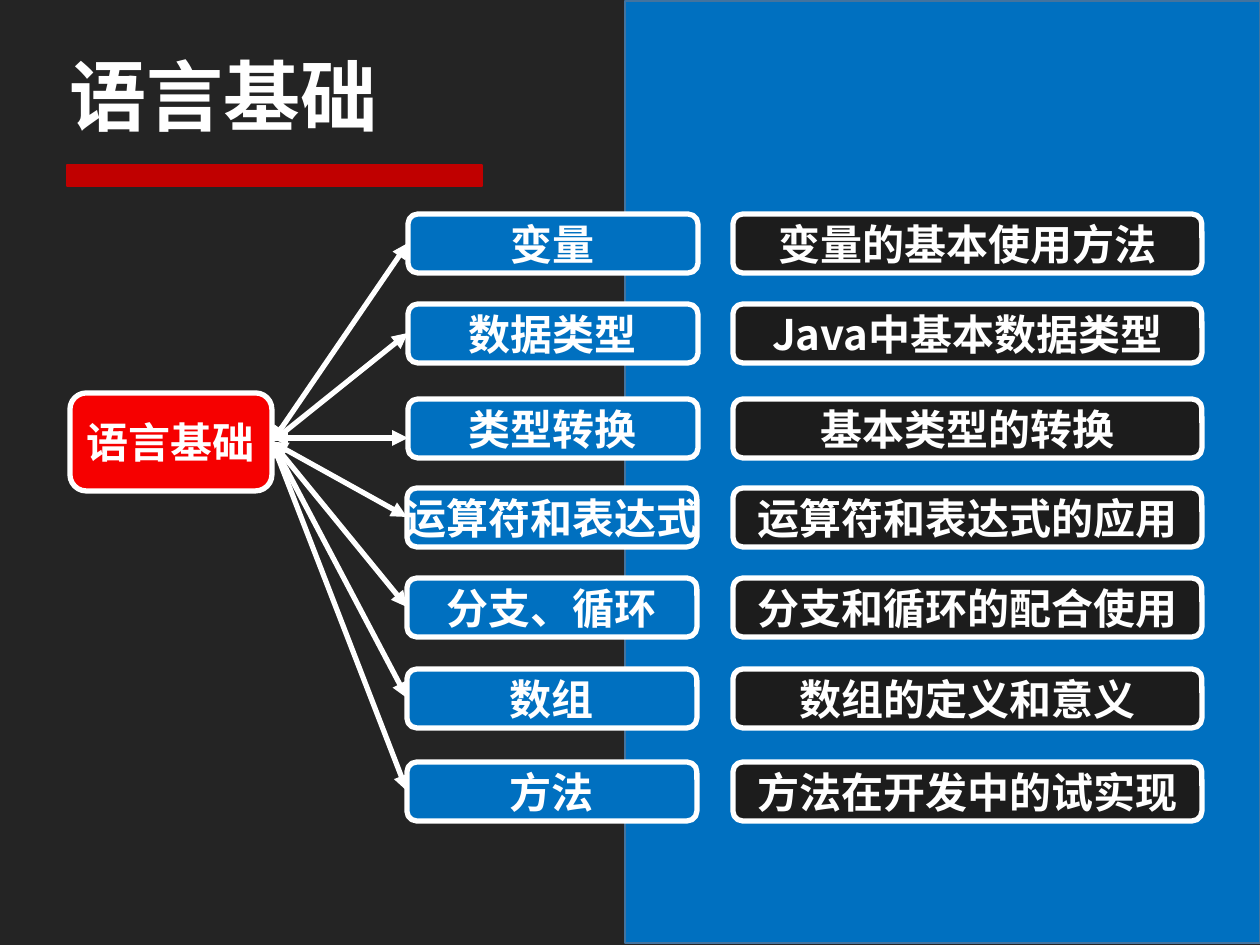
from lxml.etree import SubElement
from pptx import Presentation
from pptx.dml.color import RGBColor
from pptx.enum.shapes import MSO_CONNECTOR, MSO_SHAPE
from pptx.enum.text import MSO_ANCHOR, PP_ALIGN
from pptx.oxml.ns import qn
from pptx.util import Emu, Pt

PIXEL = 914400 // 126
FONT = "Noto Sans CJK SC"
WHITE, BLUE, BLACK = "FFFFFF", "0070C0", "1C1C1C"
TOPICS = [
    ("变量", "变量的基本使用方法", 214),
    ("数据类型", "Java中基本数据类型", 304),
    ("类型转换", "基本类型的转换", 399),
    ("运算符和表达式", "运算符和表达式的应用", 488),
    ("分支、循环", "分支和循环的配合使用", 578),
    ("数组", "数组的定义和意义", 669),
    ("方法", "方法在开发中的试实现", 762),
]


def scale(*pixels):
    return [Emu(value * PIXEL) for value in pixels]


def color(value):
    return RGBColor.from_string(value)


def write(shape, text, size, align):
    frame = shape.text_frame
    frame.text = text
    frame.vertical_anchor = MSO_ANCHOR.MIDDLE
    paragraph = frame.paragraphs[0]
    paragraph.alignment = align
    for run in paragraph.runs:
        run.font.name = FONT
        run.font.size = Pt(size)
        run.font.bold = True
        run.font.color.rgb = color(WHITE)
        SubElement(run.font._element, qn("a:ea"), typeface=FONT)


def add_block(slide, box, fill, line, width=1, kind=MSO_SHAPE.RECTANGLE):
    shape = slide.shapes.add_shape(kind, *scale(*box))
    shape.shadow.inherit = False
    shape.fill.solid()
    shape.fill.fore_color.rgb = color(fill)
    shape.line.color.rgb = color(line)
    shape.line.width = Pt(width)
    return shape


def add_label(slide, box, text, fill):
    shape = add_block(slide, box, fill, WHITE, 3, MSO_SHAPE.FLOWCHART_ALTERNATE_PROCESS)
    write(shape, text, 24, PP_ALIGN.CENTER)
    frame = shape.text_frame
    frame.word_wrap = False
    frame.margin_left, frame.margin_right, frame.margin_top, frame.margin_bottom = scale(13, 13, 7, 7)


def add_arrow(slide, start, end):
    connector = slide.shapes.add_connector(MSO_CONNECTOR.STRAIGHT, *scale(*start, *end))
    connector.line.color.rgb = color(WHITE)
    connector.line.width = Pt(3)
    line = connector.line._get_or_add_ln()
    for tag in ("a:headEnd", "a:tailEnd"):
        SubElement(line, qn(tag), type="triangle")
    SubElement(connector._element.spPr, qn("a:effectLst"))


def add_heading(slide, left, top, width, height):
    title = slide.shapes.add_textbox(*scale(left, top, width, height))
    title.text_frame.word_wrap = True
    write(title, "语言基础", 44, PP_ALIGN.LEFT)
    add_block(slide, (left + 10, top + 136, 415, 21), "C00000", "C00000")


def add_topic_tree(slide, left, top, width):
    root_width, topic_width, detail_width, row_height = 202, 290, 469, 59
    topic_left = left + 337
    detail_left = left + width - detail_width
    start_y = top + 228
    for index, (topic, detail, row_top) in enumerate(TOPICS):
        row_left = topic_left + (1 if index < 3 else 0)
        middle = row_top + row_height // 2
        level = index == 2
        start = (left + root_width, middle + 10 if level else start_y)
        end = (row_left, middle + 10 if level else middle)
        add_label(slide, (row_left, row_top, topic_width, row_height), topic, BLUE)
        add_label(slide, (detail_left, row_top, detail_width, row_height), detail, BLACK)
        add_arrow(slide, start, end)
    add_label(slide, (left, top + 179, root_width, 98), "语言基础", "F60000")


presentation = Presentation()
presentation.slide_width, presentation.slide_height = scale(1260, 945)
slide = presentation.slides.add_slide(presentation.slide_layouts[6])
slide.background.fill.solid()
slide.background.fill.fore_color.rgb = color("242424")
add_block(slide, (625, 1, 635, 942), BLUE, "43739E")
add_heading(slide, 57, 29, 1145, 131)
add_topic_tree(slide, 70, 214, 1132)
presentation.save("out.pptx")
